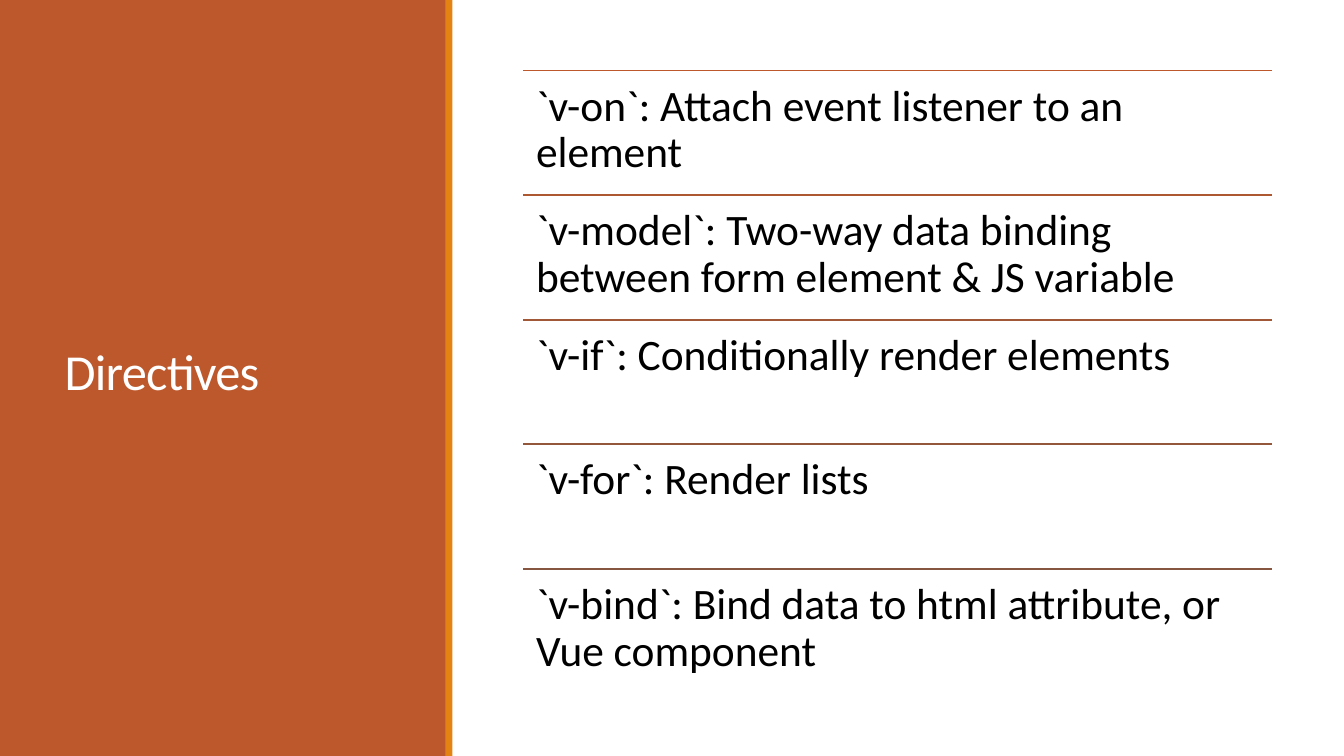
"""Build the Directives slide: a coloured title panel beside a ruled list."""
from lxml import etree
from pptx import Presentation
from pptx.dml.color import RGBColor
from pptx.enum.shapes import MSO_CONNECTOR, MSO_SHAPE
from pptx.enum.text import MSO_ANCHOR, MSO_AUTO_SIZE, PP_ALIGN
from pptx.oxml.ns import qn
from pptx.util import Pt

RECT = MSO_SHAPE.RECTANGLE
STRAIGHT = MSO_CONNECTOR.STRAIGHT
TOP, MIDDLE = MSO_ANCHOR.TOP, MSO_ANCHOR.MIDDLE
LEFT = PP_ALIGN.LEFT
NO_FIT = MSO_AUTO_SIZE.NONE

TITLE = "Directives"
DIRECTIVES = [
    ("`v-on`: Attach event listener to an element", "BD582C"),
    ("`v-model`: Two-way data binding between form element & JS variable", "AE5832"),
    ("`v-if`: Conditionally render elements", "A05837"),
    ("`v-for`: Render lists", "93573C"),
    ("`v-bind`: Bind data to html attribute, or Vue component", "865640"),
]
PANELS = [(0, 319, "BD582C"), (318.2, 5, "E48312")]
FONT = "Calibri"
SLIDE_W, SLIDE_H = 960, 540
LIST_X, LIST_Y, LIST_W, ROW_H = 373.6, 50.4, 535, 89
INSET = 9.3


def rgb(value):
    return RGBColor.from_string(value)


def add_panel(slide, x, w, color):
    sp = slide.shapes.add_shape(RECT, Pt(x), Pt(0), Pt(w), Pt(SLIDE_H))
    sp.shadow.inherit = False
    sp.fill.solid()
    sp.fill.fore_color.rgb = rgb(color)
    sp.line.fill.background()


def write(tf, text, size, color, spacing, anchor):
    tf.word_wrap = True
    tf.auto_size = NO_FIT
    tf.vertical_anchor = anchor
    p = tf.paragraphs[0]
    p.alignment = LEFT
    p.line_spacing = spacing
    p.font.name = FONT
    p.font.size = Pt(size)
    p.font.color.rgb = rgb(color)
    r = p.add_run()
    r.text = text
    return r


def add_title(slide):
    sp = slide.shapes.title
    sp.left, sp.top, sp.width, sp.height = Pt(38.9), Pt(41), Pt(242.6), Pt(454.3)
    r = write(sp.text_frame, TITLE, 36, "FFFFFF", 0.85, MIDDLE)
    r._r.get_or_add_rPr().set("spc", "-50")
    sp.element.getparent().append(sp.element)


def add_directive(slide, y, text, color):
    rule = slide.shapes.add_connector(
        STRAIGHT, Pt(LIST_X), Pt(y), Pt(LIST_X + LIST_W), Pt(y))
    rule.line.color.rgb = rgb(color)
    rule.line.width = Pt(1.25)
    etree.SubElement(rule.element.spPr, qn("a:effectLst"))
    box = slide.shapes.add_textbox(Pt(LIST_X), Pt(y), Pt(LIST_W), Pt(ROW_H))
    tf = box.text_frame
    tf.margin_left = tf.margin_right = tf.margin_top = tf.margin_bottom = Pt(INSET)
    write(tf, text, 31, "000000", 0.9, TOP)


def main():
    prs = Presentation()
    prs.slide_width, prs.slide_height = Pt(SLIDE_W), Pt(SLIDE_H)
    slide = prs.slides.add_slide(prs.slide_layouts[5])
    for x, w, color in PANELS:
        add_panel(slide, x, w, color)
    add_title(slide)
    for i, (text, color) in enumerate(DIRECTIVES):
        add_directive(slide, LIST_Y + i * ROW_H, text, color)
    prs.save("out.pptx")


if __name__ == "__main__":
    main()
